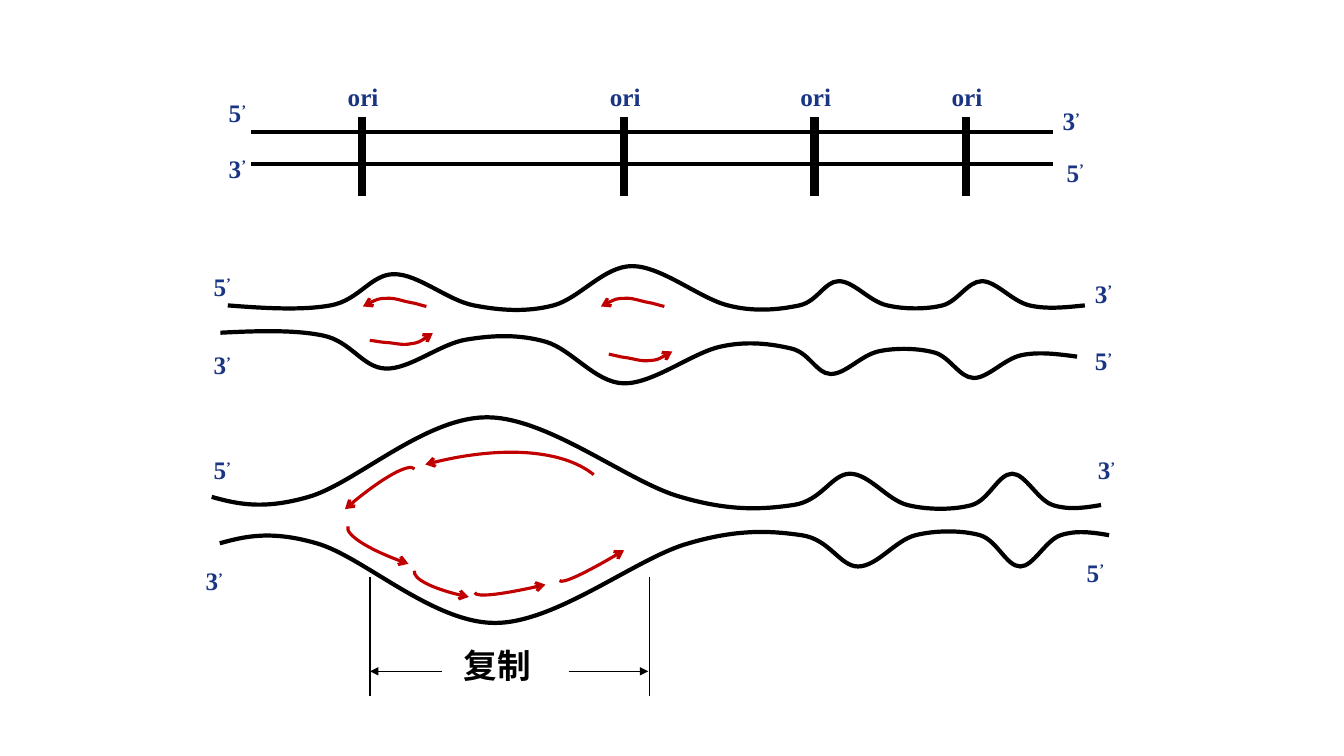
from copy import deepcopy
from math import cos, radians, sin

from lxml.etree import SubElement
from pptx import Presentation
from pptx.dml.color import RGBColor
from pptx.enum.shapes import MSO_CONNECTOR as Link
from pptx.enum.text import MSO_AUTO_SIZE as AutoSize, PP_ALIGN as Align
from pptx.oxml.ns import qn
from pptx.util import Inches, Pt

THEME = {
    "ink": RGBColor.from_string("000000"),
    "primer": RGBColor.from_string("C00000"),
    "strand_width": Pt(3),
    "origin_width": Pt(6),
    "primer_width": Pt(2.25),
    "guide_width": Pt(0.75),
    "label": {"name": "Times New Roman", "size": Pt(18), "bold": True},
    "label_color": RGBColor.from_string("193583"),
    "caption": {"name": "Noto Sans CJK SC", "size": Pt(24), "bold": True},
}


def style_line(shape, color, width, end=None, arrow=None):
    """Set colour, width and an arrowhead at one end, without a shadow."""
    shape.line.color.rgb = color
    shape.line.width = width
    properties = shape._element.spPr
    if end:
        SubElement(properties.find(qn("a:ln")), qn(end), type=arrow)
    SubElement(properties, qn("a:effectLst"))


def write_text(words, left, top, width, height, font, color, wrap=False):
    """Write a label; a prime mark in it is raised."""
    box = page.shapes.add_textbox(*map(Inches, (left, top, width, height)))
    box.text_frame.word_wrap = wrap
    box.text_frame.auto_size = AutoSize.SHAPE_TO_FIT_TEXT
    para = box.text_frame.paragraphs[0]
    for piece in words.partition("’")[:2]:
        if not piece:
            continue
        span = para.add_run()
        span.text = piece
        for name, value in font.items():
            setattr(span.font, name, value)
        span.font.color.rgb = color
        properties = span._r.get_or_add_rPr()
        SubElement(properties, qn("a:ea"), typeface=font["name"])
        if piece == "’":
            properties.set("baseline", "30000")
    return para


deck = Presentation()
deck.slide_width, deck.slide_height = Inches(13.33), Inches(7.5)
page = deck.slides.add_slide(deck.slide_layouts[6])

# Straight lines: double strand, origins, span guides and span arrows
origins = [3.59, 6.19, 8.08, 9.58]
span_arrow = ("a:tailEnd", "triangle")
straight_lines = [
    *[(2.49, y, 10.44, y, "strand_width", ()) for y in (1.31, 1.63)],
    *[(x, 1.16, x, 1.94, "origin_width", ()) for x in origins],
    *[(x, 5.72, x, 6.9, "guide_width", ()) for x in (3.67, 6.44)],
    (4.38, 6.66, 3.67, 6.66, "guide_width", span_arrow),
    (5.64, 6.66, 6.43, 6.66, "guide_width", span_arrow),
]
for x1, y1, x2, y2, width, arrow in straight_lines:
    line = page.shapes.add_connector(
        Link.STRAIGHT, *map(Inches, (x1, y1, x2, y2)))
    style_line(line, THEME["ink"], THEME[width], *arrow)

# Upper strands as Bezier points; each lower strand mirrors its upper one
small_bubbles = [
    (2.26, 3.03), (2.63, 3.06), (3.01, 3.08), (3.28, 3.03),
    (3.56, 2.98), (3.68, 2.72), (3.91, 2.72),
    (4.15, 2.72), (4.44, 2.98), (4.7, 3.03),
    (4.96, 3.08), (5.22, 3.1), (5.49, 3.03),
    (5.75, 2.96), (5.99, 2.64), (6.27, 2.64),
    (6.56, 2.64), (6.94, 2.96), (7.22, 3.03),
    (7.49, 3.1), (7.74, 3.07), (7.93, 3.03),
    (8.11, 2.99), (8.18, 2.79), (8.32, 2.79),
    (8.47, 2.79), (8.62, 2.99), (8.8, 3.03),
    (8.97, 3.07), (9.19, 3.07), (9.35, 3.03),
    (9.5, 2.99), (9.6, 2.79), (9.74, 2.79),
    (9.88, 2.79), (10.04, 2.99), (10.21, 3.03),
    (10.38, 3.07), (10.57, 3.05), (10.76, 3.03),
]
merged_bubble = [
    (2.1, 4.93), (2.35, 5), (2.61, 5.06), (3.06, 4.93),
    (3.52, 4.8), (4.21, 4.14), (4.83, 4.14),
    (5.44, 4.14), (6.24, 4.79), (6.75, 4.93),
    (7.26, 5.08), (7.59, 5.05), (7.87, 5.01),
    (8.15, 4.97), (8.25, 4.7), (8.43, 4.7),
    (8.62, 4.7), (8.8, 4.96), (9, 5.01),
    (9.2, 5.06), (9.46, 5.06), (9.64, 5.01),
    (9.81, 4.96), (9.9, 4.7), (10.04, 4.7),
    (10.17, 4.7), (10.29, 4.96), (10.44, 5.01),
    (10.59, 5.06), (10.75, 5.04), (10.92, 5.01),
]
strand_style = ("ink", "strand_width", ())
curves = [
    (small_bubbles, 0, *strand_style),
    ([(x - 0.08, 6.45 - y) for x, y in small_bubbles], 1.6, *strand_style),
    (merged_bubble, 0, *strand_style),
    ([(x + 0.08, 10.32 - y) for x, y in merged_bubble], 0, *strand_style),
]

# Primers in the small bubbles: one curve, shifted and turned
primer = [(4.23, 3.04), (4.18, 3.03), (4.13, 3.01), (4.07, 3),
          (4, 2.99), (3.91, 2.95), (3.83, 2.96),
          (3.75, 2.96), (3.67, 3), (3.6, 3.04)]
for right, down, turn in [(0, 0, 0), (0.07, 0.39, 173.4),
                          (2.36, 0, 0), (2.44, 0.55, 177.5)]:
    curves.append(([(x + right, y + down) for x, y in primer], turn,
                   "primer", "primer_width", ("a:tailEnd", "arrow")))

# Arcs in the merged bubble: centre, turn, Bezier points and pivot
arcs = [
    (5.01, 4.81, 162.6,
     [(4.21, 4.61), (4.91, 4.42), (5.57, 4.46), (5.88, 4.71), (4.31, 5.48)]),
    (3.76, 5.4, 18.2,
     [(4.05, 5.59), (3.69, 5.47), (3.42, 5.3), (3.45, 5.22), (4.1, 5.44)]),
    (3.76, 4.85, 138.7,
     [(3.41, 5.05), (3.73, 4.77), (4.04, 4.59), (4.1, 4.65), (3.51, 5.17)]),
    (4.39, 5.79, 11.3,
     [(4.65, 5.92), (4.34, 5.86), (4.09, 5.74), (4.11, 5.66), (4.68, 5.78)]),
    (5.87, 5.61, 328.7,
     [(6.19, 5.46), (5.86, 5.66), (5.57, 5.8), (5.55, 5.76), (6.15, 5.4)]),
    (5.06, 5.84, 347,
     [(5.41, 5.8), (5.03, 5.89), (4.72, 5.93), (4.71, 5.88), (5.39, 5.73)]),
]
for middle_x, middle_y, turn, points in arcs:
    c, s = cos(radians(turn)), sin(radians(turn))
    level = [(middle_x + (x - middle_x) * c + (y - middle_y) * s,
              middle_y - (x - middle_x) * s + (y - middle_y) * c)
             for x, y in points]
    curves.append((level, turn, "primer", "primer_width", ("a:headEnd", "arrow")))

# Draw every curve; a point left over after the Bezier triples is a pivot
for points, turn, color, width, arrow in curves:
    outline = page.shapes.build_freeform(*map(Inches, points[0]))
    outline.add_line_segments([tuple(map(Inches, point)) for point in points[1:]],
                              close=False)
    curve = outline.convert_to_shape()
    curve.rotation = turn
    curve.fill.background()
    stroke = curve._element.spPr.find(".//" + qn("a:path"))
    steps = stroke.findall(qn("a:lnTo"))
    bend_count = len(steps) // 3
    for first in range(0, bend_count * 3, 3):
        bend = SubElement(stroke, qn("a:cubicBezTo"))
        for step in steps[first:first + 3]:
            bend.append(step[0])
            stroke.remove(step)
    for pivot in steps[bend_count * 3:]:
        sector = deepcopy(stroke)
        sector.append(sector.find(qn("a:lnTo")))
        SubElement(sector, qn("a:close"))
        sector.set("stroke", "0")
        stroke.addnext(sector)
        stroke.remove(pivot)
        stroke.set("fill", "none")
    style_line(curve, THEME[color], THEME[width], *arrow)

# Origin labels and strand ends
for x in origins:
    write_text("ori", x - 0.24, 0.76, 0.51, 0.4, THEME["label"], THEME["label_color"])
strand_ends = {
    "5’": [(2.17, 0.92), (10.48, 1.51), (2.02, 2.64), (10.76, 3.38),
           (2.02, 4.46), (10.68, 5.48)],
    "3’": [(2.17, 1.47), (10.44, 1), (2.02, 3.42), (10.76, 2.71),
           (1.94, 5.56), (10.79, 4.46)],
}
for words, places in strand_ends.items():
    for left, top in places:
        write_text(words, left, top, 0.38, 0.4, THEME["label"], THEME["label_color"])

# Caption of the replicated span
caption = write_text("复制", 4.3, 6.35, 1.26, 0.5, THEME["caption"], THEME["ink"], wrap=True)
caption.alignment = Align.CENTER

deck.save("out.pptx")
